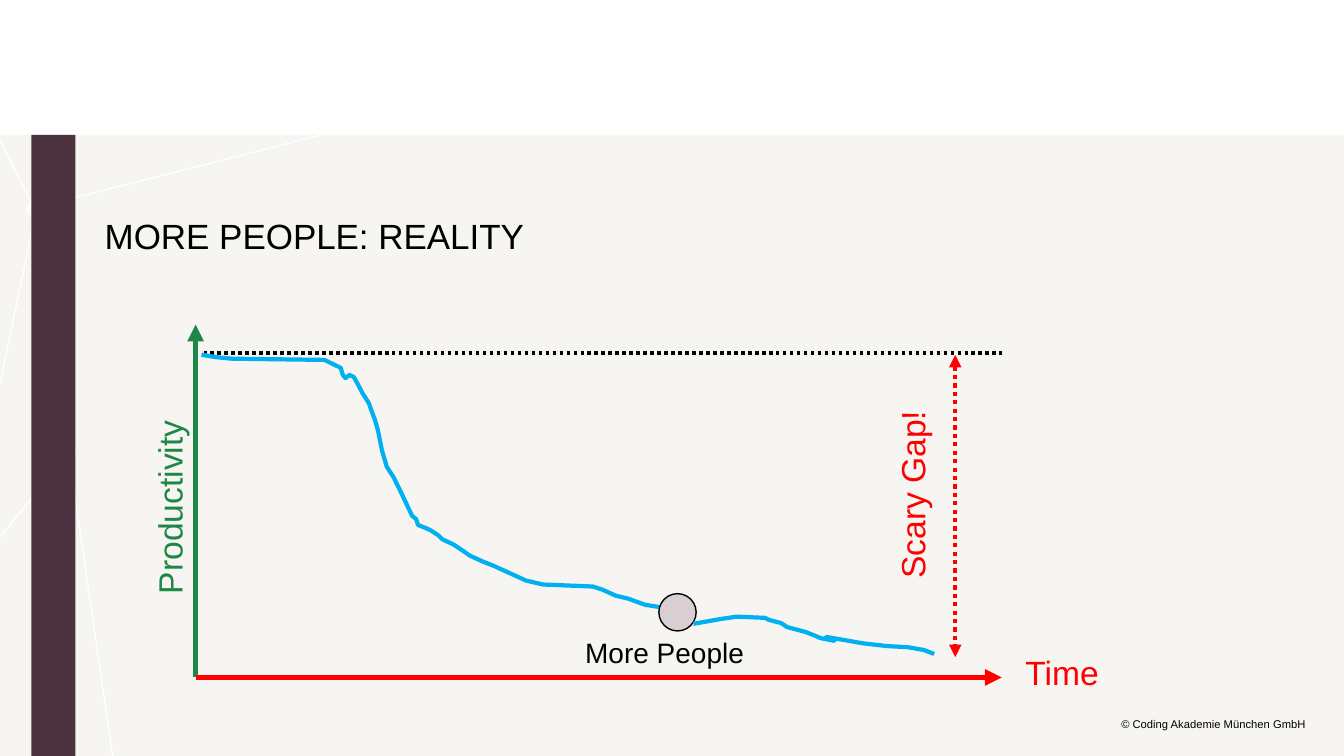
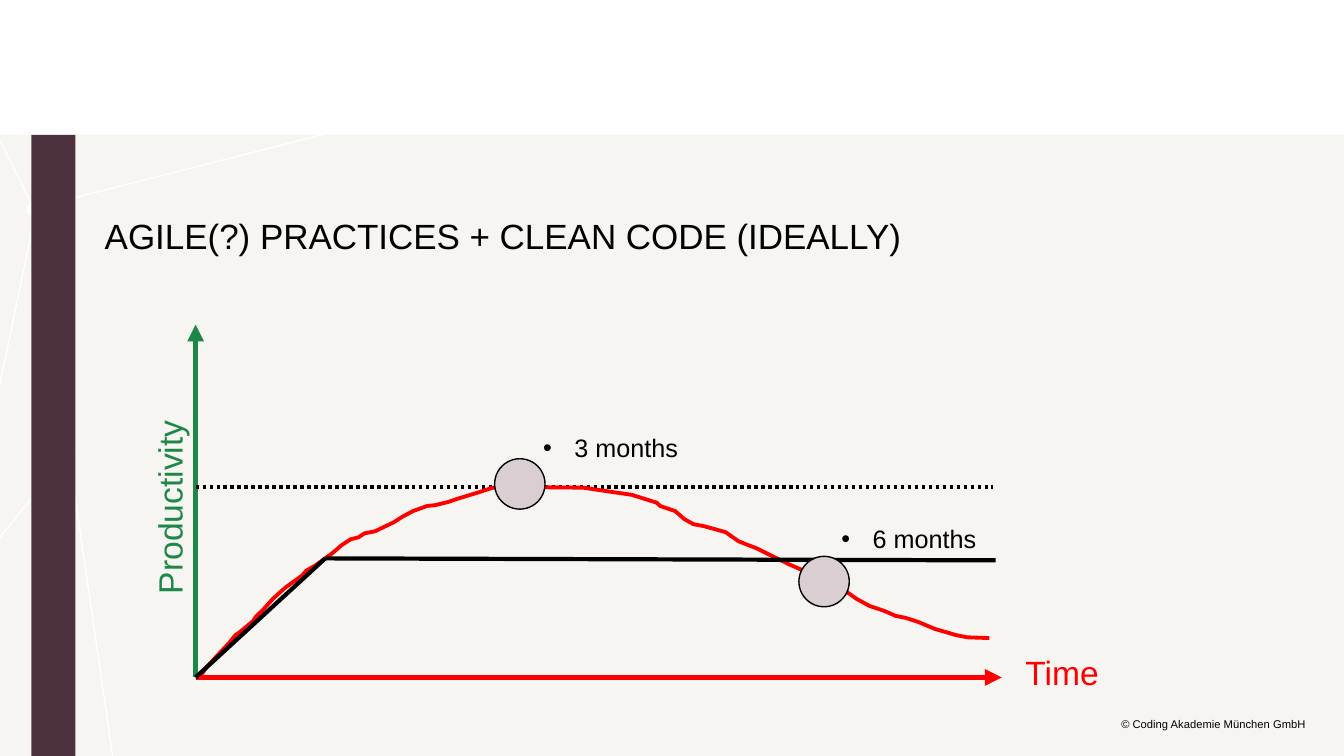
from dataclasses import dataclass
from typing import Optional

from pptx import Presentation
from pptx.dml.color import RGBColor
from pptx.enum.dml import MSO_LINE
from pptx.enum.shapes import MSO_CONNECTOR, MSO_SHAPE
from pptx.enum.text import MSO_ANCHOR, MSO_AUTO_SIZE, PP_ALIGN
from pptx.oxml.ns import qn
from pptx.oxml.xmlchemy import OxmlElement
from pptx.slide import Slide, SlideLayout
from pptx.util import Cm, Pt

Point = tuple[float, float]
Box = tuple[float, float, float, float]


@dataclass(frozen=True)
class Theme:
    font: str = "Arial"
    white: str = "FFFFFF"
    black: str = "000000"
    paper: str = "F7F5F1"
    band: str = "4B323E"
    green: str = "1D8748"
    red: str = "FF0000"
    blue: str = "00B0F0"
    marker: str = "D9CED1"
    title_size: float = 25
    axis_size: float = 24
    note_size: float = 20
    milestone_size: float = 18
    footer_size: float = 8


THEME = Theme()
SLIDE_WIDTH, SLIDE_HEIGHT = 33.88, 19.05
PAPER_TOP = 3.4
ORIGIN: Point = (4.93, 17.07)
TIME_END: Point = (25.25, 17.07)
PRODUCTIVITY_END: Point = (4.93, 8.18)
RAMP_END: Point = (8.2, 14.07)


@dataclass(frozen=True)
class Stroke:
    start: Point
    end: Point
    color: str
    width: float
    dotted: bool = False
    head: bool = False
    tail: bool = False


@dataclass(frozen=True)
class Label:
    text: str
    box: Box
    size: float
    color: str = THEME.black
    rotation: float = 0
    bullet: bool = False


@dataclass(frozen=True)
class Curve:
    points: tuple[Point, ...]
    color: str
    width: float


@dataclass(frozen=True)
class Disc:
    left: float
    top: float
    diameter: float
    fill: str = THEME.marker
    outline: str = THEME.black


Layer = Stroke | Label | Curve | Disc


@dataclass(frozen=True)
class Diagram:
    """A title and the layers drawn over the axes, from back to front."""
    title: str
    layers: tuple[Layer, ...]


BACKDROP_DOTS = (
    Disc(0.69, 5.11, 0.33, THEME.white, THEME.white),
    Disc(1.57, 11.25, 0.33, THEME.white, THEME.white),
)
BACKDROP_RAYS: tuple[tuple[Point, Point], ...] = (
    ((0.84, 5.28), (2.84, SLIDE_HEIGHT)),
    ((0.86, 5.28), (0, 3.53)),
    ((0.91, 5.23), (12.19, 2.36)),
    ((1.83, 11.28), (0, 13.54)),
    ((0.91, 5.28), (0, 9.68)),
)

AXES: tuple[Layer, ...] = (
    Stroke(ORIGIN, PRODUCTIVITY_END, THEME.green, 4, tail=True),
    Stroke(ORIGIN, TIME_END, THEME.red, 4, tail=True),
    Label("Productivity", (1.8, 12.12, 4.93, 1.27), THEME.axis_size, THEME.green, 270),
    Label("Time", (25.6, 16.31, 2.39, 1.27), THEME.axis_size, THEME.red),
)

DECLINE: tuple[Point, ...] = (
    (5.08, 8.94), (5.44, 9), (5.84, 9.04), (8.18, 9.07), (8.59, 9.27), (8.64, 9.44),
    (8.71, 9.53), (8.81, 9.45), (8.92, 9.5), (9.03, 9.7), (9.14, 9.91), (9.3, 10.16),
    (9.35, 10.31), (9.45, 10.57), (9.53, 10.85), (9.63, 11.35), (9.75, 11.76),
    (9.93, 12.04), (10.13, 12.45), (10.39, 13), (10.49, 13.08), (10.54, 13.23),
    (10.74, 13.31), (10.85, 13.36), (11.05, 13.49), (11.15, 13.59), (11.43, 13.72),
    (11.73, 13.92), (11.84, 14), (12.17, 14.15), (12.47, 14.27), (13.26, 14.63),
    (13.69, 14.73), (14.94, 14.78), (15.19, 14.86), (15.52, 15.01), (15.85, 15.09),
    (16.26, 15.24), (16.76, 15.32), (16.94, 15.37),
)
AFTER_HIRING: tuple[Point, ...] = (
    (17.48, 15.72), (17.88, 15.65), (18.16, 15.6), (18.57, 15.54), (19.28, 15.57),
    (19.38, 15.62), (19.69, 15.7), (19.84, 15.8), (20.32, 15.93), (20.57, 16.03),
    (20.68, 16.08), (21.03, 16.15), (20.83, 16.05), (21.29, 16.13), (21.74, 16.21),
    (22.35, 16.28), (22.89, 16.31), (23.29, 16.38), (23.55, 16.48),
)
RISE_AND_FALL: tuple[Point, ...] = (
    (5.03, 17.07), (5.21, 16.81), (5.46, 16.54), (5.77, 16.21), (5.94, 16),
    (6.02, 15.95), (6.38, 15.65), (6.45, 15.54), (6.63, 15.37), (6.88, 15.09),
    (7.19, 14.81), (7.44, 14.63), (7.62, 14.5), (7.72, 14.38), (7.95, 14.25),
    (8.2, 14.07), (8.38, 13.94), (8.61, 13.74), (8.84, 13.59), (9.04, 13.54),
    (9.19, 13.44), (9.45, 13.39), (9.93, 13.16), (10.13, 13.03), (10.41, 12.88),
    (10.77, 12.75), (10.97, 12.73), (11.3, 12.65), (11.53, 12.57), (12.09, 12.4),
    (12.42, 12.29), (12.8, 12.27), (14.71, 12.29), (15.24, 12.37), (15.93, 12.47),
    (16.56, 12.67), (16.64, 12.75), (17.02, 12.88), (17.25, 13.08), (17.48, 13.21),
    (17.75, 13.26), (18.29, 13.41), (18.62, 13.64), (18.87, 13.74), (19.08, 13.82),
    (19.38, 13.97), (19.89, 14.22), (20.37, 14.43), (20.65, 14.58), (20.93, 14.68),
    (21.34, 14.91), (21.59, 15.09), (21.92, 15.27), (22.28, 15.39), (22.58, 15.52),
    (22.83, 15.57), (23.14, 15.67), (23.57, 15.85), (23.85, 15.93), (24.08, 16),
    (24.38, 16.06), (24.94, 16.08),
)

DIAGRAMS = (
    Diagram("MORE PEOPLE: REALITY", (
        Stroke((5.13, 8.89), (25.25, 8.89), THEME.black, 2.5, dotted=True),
        Curve(DECLINE, THEME.blue, 3),
        Stroke((24.08, 8.94), (24.08, 16.56), THEME.red, 3, dotted=True, head=True, tail=True),
        Label("Scary Gap!", (20.6, 11.81, 4.78, 1.27), THEME.axis_size, THEME.red, 270),
        Disc(16.61, 14.96, 0.94),
        Label("More People", (14.5, 15.9, 4.55, 1.12), THEME.note_size),
        Curve(AFTER_HIRING, THEME.blue, 3),
    )),
    Diagram("AGILE(?) PRACTICES + CLEAN CODE (IDEALLY)", (
        Stroke((4.93, 12.27), (25.04, 12.27), THEME.black, 2.5, dotted=True),
        Curve(RISE_AND_FALL, THEME.red, 2.75),
        Stroke(RAMP_END, (25.1, 14.12), THEME.black, 3),
        Disc(12.47, 11.56, 1.27),
        Disc(20.14, 14.02, 1.27),
        Label("3 months", (13.44, 10.77, 3.96, 1.02), THEME.milestone_size, bullet=True),
        Label("6 months", (20.96, 13.06, 3.96, 1.02), THEME.milestone_size, bullet=True),
        Stroke(ORIGIN, RAMP_END, THEME.black, 3),
    )),
)


def rgb(color: str) -> RGBColor:
    return RGBColor.from_string(color)


def format_runs(paragraph, size: float, color: str) -> None:
    for run in paragraph.runs:
        run.font.name = THEME.font
        run.font.size = Pt(size)
        run.font.color.rgb = rgb(color)


def clear_insets(frame) -> None:
    frame.margin_left = frame.margin_right = frame.margin_top = frame.margin_bottom = Cm(0)


def draw_stroke(slide: Slide, stroke: Stroke) -> None:
    ends = [Cm(value) for value in (*stroke.start, *stroke.end)]
    connector = slide.shapes.add_connector(MSO_CONNECTOR.STRAIGHT, *ends)
    connector.line.color.rgb = rgb(stroke.color)
    connector.line.width = Pt(stroke.width)
    if stroke.dotted:
        connector.line.dash_style = MSO_LINE.ROUND_DOT
    properties = connector.element.spPr
    for tag, wanted in (("a:headEnd", stroke.head), ("a:tailEnd", stroke.tail)):
        if wanted:
            arrowhead = OxmlElement(tag)
            arrowhead.set("type", "triangle")
            properties.find(qn("a:ln")).append(arrowhead)
    properties.append(OxmlElement("a:effectLst"))


def add_bullet(paragraph) -> None:
    properties = paragraph._p.get_or_add_pPr()
    properties.set("marL", str(Cm(0.79)))
    properties.set("indent", str(-Cm(0.79)))
    for tag, key, value in (("a:buFont", "typeface", THEME.font), ("a:buChar", "char", "•")):
        element = OxmlElement(tag)
        element.set(key, value)
        properties.append(element)


def draw_label(slide: Slide, label: Label) -> None:
    textbox = slide.shapes.add_textbox(*(Cm(value) for value in label.box))
    textbox.rotation = label.rotation
    frame = textbox.text_frame
    frame.word_wrap = False
    frame.auto_size = MSO_AUTO_SIZE.SHAPE_TO_FIT_TEXT
    frame.text = label.text
    paragraph = frame.paragraphs[0]
    if label.bullet:
        add_bullet(paragraph)
    format_runs(paragraph, label.size, label.color)


def draw_curve(slide: Slide, curve: Curve) -> None:
    start, *rest = [(Cm(x), Cm(y)) for x, y in curve.points]
    builder = slide.shapes.build_freeform(*start)
    builder.add_line_segments(rest, close=False)
    outline = builder.convert_to_shape()
    outline.shadow.inherit = False
    outline.fill.background()
    outline.line.color.rgb = rgb(curve.color)
    outline.line.width = Pt(curve.width)


def draw_preset(slide: Slide, preset: MSO_SHAPE, box: Box, fill: str,
                outline: Optional[str] = None) -> None:
    shape = slide.shapes.add_shape(preset, *(Cm(value) for value in box))
    shape.shadow.inherit = False
    shape.fill.solid()
    shape.fill.fore_color.rgb = rgb(fill)
    if outline is None:
        shape.line.fill.background()
    else:
        shape.line.color.rgb = rgb(outline)
        shape.line.width = Pt(1)


def draw_disc(slide: Slide, disc: Disc) -> None:
    box = (disc.left, disc.top, disc.diameter, disc.diameter)
    draw_preset(slide, MSO_SHAPE.OVAL, box, disc.fill, disc.outline)


PAINTERS = {Stroke: draw_stroke, Label: draw_label, Curve: draw_curve, Disc: draw_disc}


def draw_layers(slide: Slide, layers: tuple[Layer, ...]) -> None:
    for layer in layers:
        PAINTERS[type(layer)](slide, layer)


def draw_footer(slide: Slide) -> None:
    footer = slide.shapes.add_textbox(Cm(22.94), Cm(18.11), Cm(9.98), Cm(0.33))
    frame = footer.text_frame
    frame.word_wrap = True
    frame.vertical_anchor = MSO_ANCHOR.MIDDLE
    clear_insets(frame)
    frame.text = "© Coding Akademie München GmbH"
    notice = frame.paragraphs[0]
    notice.alignment = PP_ALIGN.RIGHT
    notice.line_spacing = 0.93
    format_runs(notice, THEME.footer_size, THEME.black)


def furnish_layout(layout: SlideLayout, slide: Slide) -> None:
    """Draw the shared backdrop on an empty slide, then move it to the layout."""
    paper_height = SLIDE_HEIGHT - PAPER_TOP
    draw_preset(slide, MSO_SHAPE.RECTANGLE, (0, PAPER_TOP, SLIDE_WIDTH, paper_height), THEME.paper)
    draw_layers(slide, BACKDROP_DOTS)
    draw_layers(slide, tuple(Stroke(*ray, THEME.white, 1) for ray in BACKDROP_RAYS))
    draw_footer(slide)
    draw_preset(slide, MSO_SHAPE.RECTANGLE, (0.79, PAPER_TOP, 1.11, paper_height), THEME.band)
    furniture = [shape for shape in slide.shapes if not shape.is_placeholder]
    for index, shape in enumerate(furniture):
        shape.element.xpath("./*/p:cNvPr")[0].set("id", str(100 + index))
        layout.shapes.element.insert(2 + index, shape.element)


def set_title(slide: Slide, text: str) -> None:
    title = slide.shapes.title
    title.left, title.top, title.width, title.height = Cm(2.64), Cm(5.41), Cm(25.55), Cm(1.07)
    frame = title.text_frame
    frame.text = text
    frame.word_wrap = True
    frame.auto_size = MSO_AUTO_SIZE.NONE
    frame.vertical_anchor = MSO_ANCHOR.TOP
    clear_insets(frame)
    frame.paragraphs[0].alignment = PP_ALIGN.LEFT
    format_runs(frame.paragraphs[0], THEME.title_size, THEME.black)


def main() -> None:
    deck = Presentation()
    deck.slide_width, deck.slide_height = Cm(SLIDE_WIDTH), Cm(SLIDE_HEIGHT)
    layout = deck.slide_layouts.get_by_name("Title Only")
    slides = [deck.slides.add_slide(layout) for _ in DIAGRAMS]
    furnish_layout(layout, slides[0])
    for slide, diagram in zip(slides, DIAGRAMS):
        set_title(slide, diagram.title)
        draw_layers(slide, AXES + diagram.layers)
    deck.save("out.pptx")


if __name__ == "__main__":
    main()
